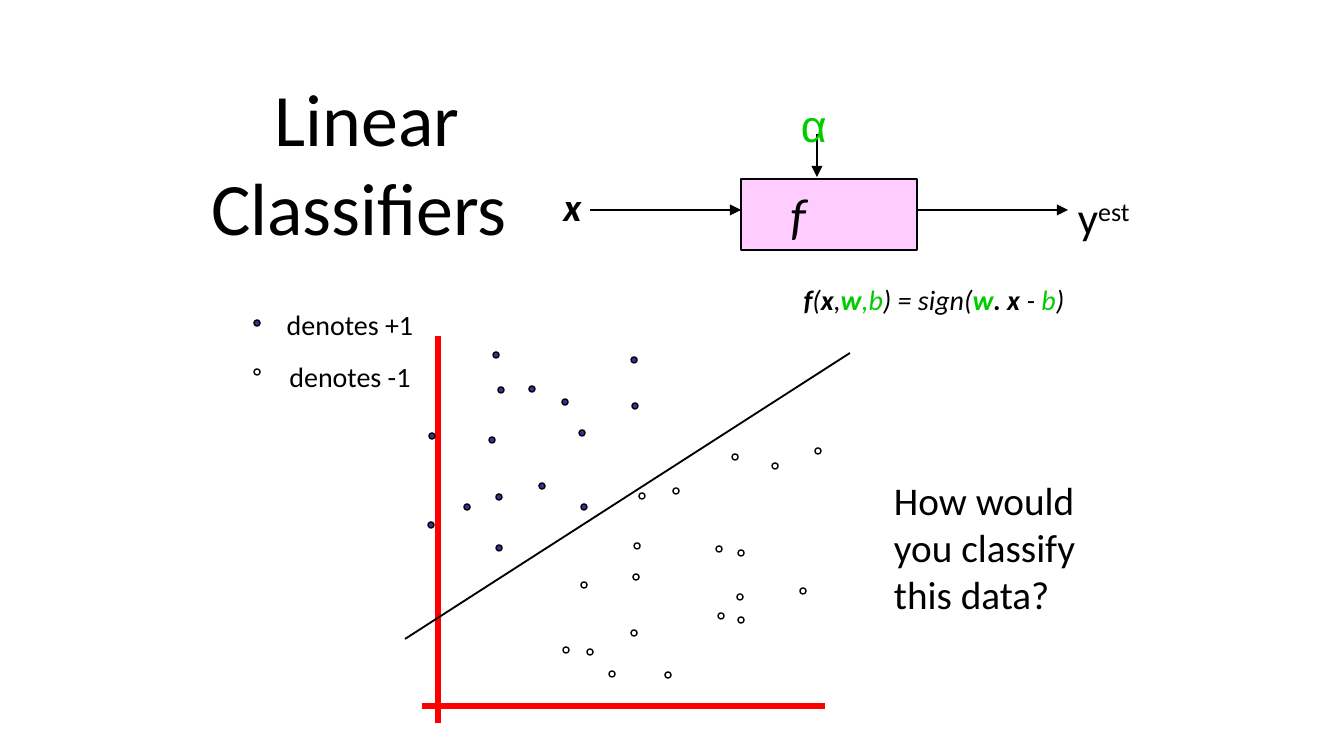
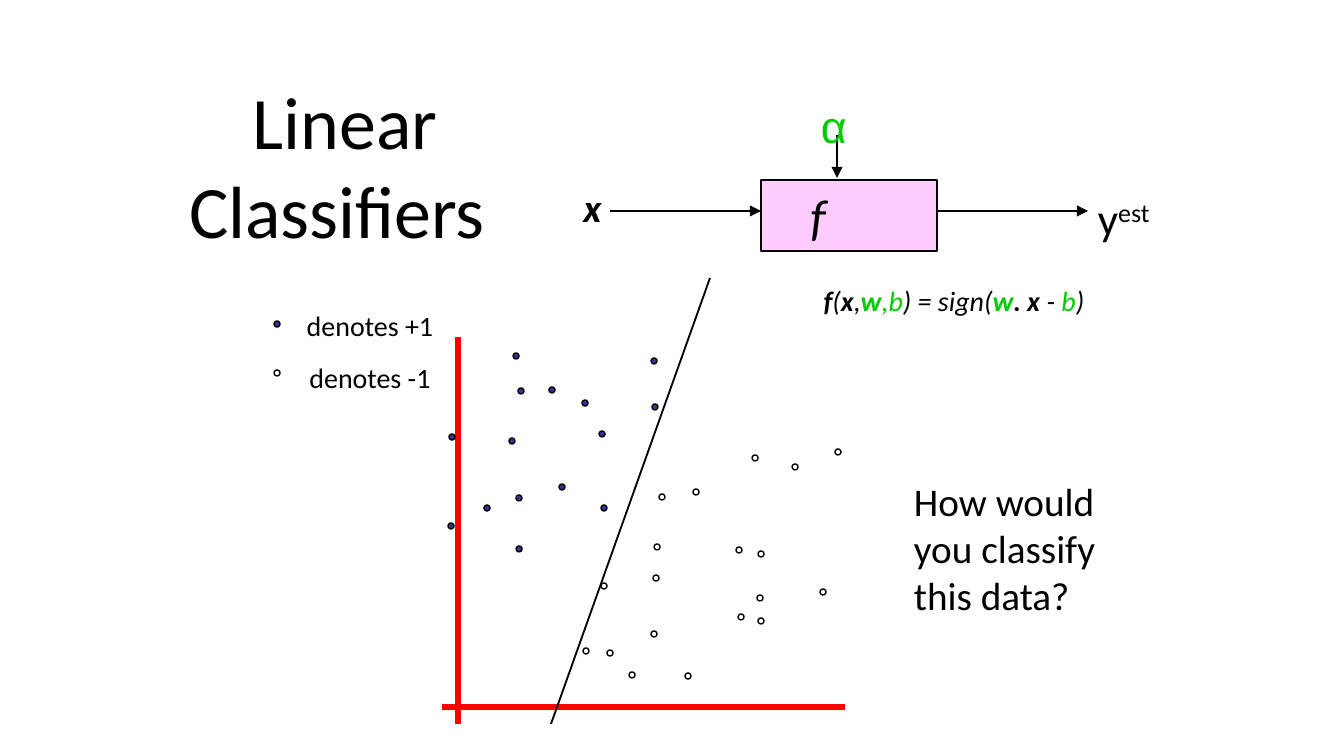
"""Build two slides that try different linear separators on the same data."""
from lxml.etree import SubElement
from pptx import Presentation
from pptx.dml.color import RGBColor
from pptx.enum.shapes import MSO_CONNECTOR, MSO_SHAPE
from pptx.enum.text import MSO_ANCHOR, PP_ALIGN
from pptx.oxml.ns import qn
from pptx.util import Pt

PX = 914400 / 134.4
SLIDE_SIZE = (1344, 756)
COLORS = {"ink": "000000", "param": "00CC00", "box": "FFCCFF", "axis": "FF0000",
          "pos": "333399", "neg": "FFFFFF"}
FONT = "Calibri"
INSET = (10, 5, 10, 5)
TITLE_INSET = (13, 7, 13, 7)
F_INSET = (10, 5, 72, 5)
DOT = 6

SLIDES = [
    {"shift": (0, 0), "title": (103, 119, 512, 85), "separator": (405, 639, 850, 353)},
    {"shift": (20, 1), "title": (81, 122, 512, 85), "separator": (551, 724, 710, 278)},
]
TITLE = [[(" Linear Classifiers", {"size": 39.6})]]
F_BOX = (741, 179, 176, 71)
F_TEXT = [[("f", {"size": 27, "italic": True})]]

ARROWS = [(590, 210, 741, 210), (817, 134, 817, 177), (918, 210, 1068, 210)]
AXES = [(438, 336, 438, 723), (422, 706, 825, 706)]

SMALL = {"size": 15}
MATH = {"size": 15, "italic": True}
BOLD = {**MATH, "bold": True}
PARAM = {**MATH, "color": "param"}
BOLD_PARAM = {**BOLD, "color": "param"}
LABELS = [
    ((539, 177, 67, 58), PP_ALIGN.CENTER,
     [[("x", {"size": 21, "bold": True, "italic": True})]]),
    ((791, 93, 42, 64), PP_ALIGN.CENTER,
     [[("α", {"size": 24, "font": "Arial", "color": "param"})]]),
    ((1068, 185, 93, 64), PP_ALIGN.LEFT,
     [[("y", {"size": 24}), ("est", {"size": 24, "raised": 30})]]),
    ((245, 303, 210, 95), PP_ALIGN.CENTER,
     [[("denotes +1", SMALL)], [("denotes -1", SMALL)]]),
    ((758, 278, 352, 44), PP_ALIGN.CENTER,
     [[("f", BOLD), ("(", MATH), ("x", BOLD), (",", MATH), ("w", BOLD_PARAM),
       (",b", PARAM), (") = sign(", MATH), ("w", BOLD_PARAM), (". x ", BOLD),
       ("- ", MATH), ("b", PARAM), (")", MATH)]]),
    ((884, 471, 243, 153), PP_ALIGN.LEFT,
     [[("How would you classify this data?", {"size": 21})]]),
]

DOTS = {
    "pos": {
        0: [(431, 525), (635, 406), (532, 389), (584, 507), (492, 440)],
        341: [(501, 390), (499, 497)],
        98: [(582, 433), (499, 548), (634, 360), (496, 355)],
        80: [(257, 323), (542, 486), (467, 507), (565, 402), (432, 436)],
    },
    "neg": {
        0: [(566, 650), (642, 496), (719, 549)],
        341: [(584, 585), (818, 451), (740, 597), (676, 491), (803, 591)],
        98: [(257, 372), (612, 674), (741, 553), (637, 546), (775, 466),
             (735, 457), (721, 616)],
        80: [(668, 675), (634, 633), (636, 577), (590, 652), (741, 620)],
    },
}


def emu(*lengths):
    return [round(n * PX) for n in lengths]


def rgb(name):
    return RGBColor.from_string(COLORS[name])


def move(box, shift):
    x, y, *size = box
    return (x + shift[0], y + shift[1], *size)


def move_line(ends, shift):
    return move(ends[:2], shift) + move(ends[2:], shift)


def write(sp, paragraphs, align, inset=INSET, anchor=MSO_ANCHOR.TOP):
    tf = sp.text_frame
    tf.word_wrap = True
    tf.vertical_anchor = anchor
    tf.margin_left, tf.margin_top, tf.margin_right, tf.margin_bottom = emu(*inset)
    for i, runs in enumerate(paragraphs):
        p = tf.add_paragraph() if i else tf.paragraphs[0]
        p.alignment = align
        if i:
            p.space_before = Pt(9.4)
        for text, style in runs:
            r = p.add_run()
            r.text = text
            r.font.name = style.get("font", FONT)
            r.font.size = Pt(style["size"])
            r.font.bold = style.get("bold", False)
            r.font.italic = style.get("italic", False)
            r.font.color.rgb = rgb(style.get("color", "ink"))
            if "raised" in style:
                r.font._element.set("baseline", str(style["raised"] * 1000))


def add_text(slide, box, paragraphs, align, **layout):
    write(slide.shapes.add_textbox(*emu(*box)), paragraphs, align, **layout)


def add_shape(slide, kind, box, fill, width):
    sp = slide.shapes.add_shape(kind, *emu(*box))
    sp.shadow.inherit = False
    sp.fill.solid()
    sp.fill.fore_color.rgb = rgb(fill)
    sp.line.color.rgb = rgb("ink")
    sp.line.width = Pt(width)
    return sp


def add_line(slide, ends, color="ink", width=1, arrow=False):
    line = slide.shapes.add_connector(MSO_CONNECTOR.STRAIGHT, *emu(*ends))
    line.line.color.rgb = rgb(color)
    line.line.width = Pt(width)
    if arrow:
        SubElement(line.line._get_or_add_ln(), qn("a:tailEnd"), type="triangle")
    SubElement(line._element.spPr, qn("a:effectLst"))


def add_dots(slide, shift):
    for fill, by_angle in DOTS.items():
        for angle, centres in by_angle.items():
            for centre in centres:
                x, y = move(centre, shift)
                box = (x - DOT // 2, y - DOT // 2, DOT, DOT)
                add_shape(slide, MSO_SHAPE.OVAL, box, fill, 0.75).rotation = angle


def build(slide, shift, title, separator):
    add_text(slide, title, TITLE, PP_ALIGN.CENTER,
             inset=TITLE_INSET, anchor=MSO_ANCHOR.MIDDLE)
    f_box = add_shape(slide, MSO_SHAPE.RECTANGLE, move(F_BOX, shift), "box", 1)
    write(f_box, F_TEXT, PP_ALIGN.CENTER, F_INSET, MSO_ANCHOR.MIDDLE)
    for ends in ARROWS:
        add_line(slide, move_line(ends, shift), arrow=True)
    for ends in AXES:
        add_line(slide, move_line(ends, shift), "axis", 3)
    add_dots(slide, shift)
    add_line(slide, separator)
    for box, align, paragraphs in LABELS:
        add_text(slide, move(box, shift), paragraphs, align)


def main():
    prs = Presentation()
    prs.slide_width, prs.slide_height = emu(*SLIDE_SIZE)
    for content in SLIDES:
        build(prs.slides.add_slide(prs.slide_layouts[6]), **content)
    prs.save("out.pptx")


if __name__ == "__main__":
    main()
